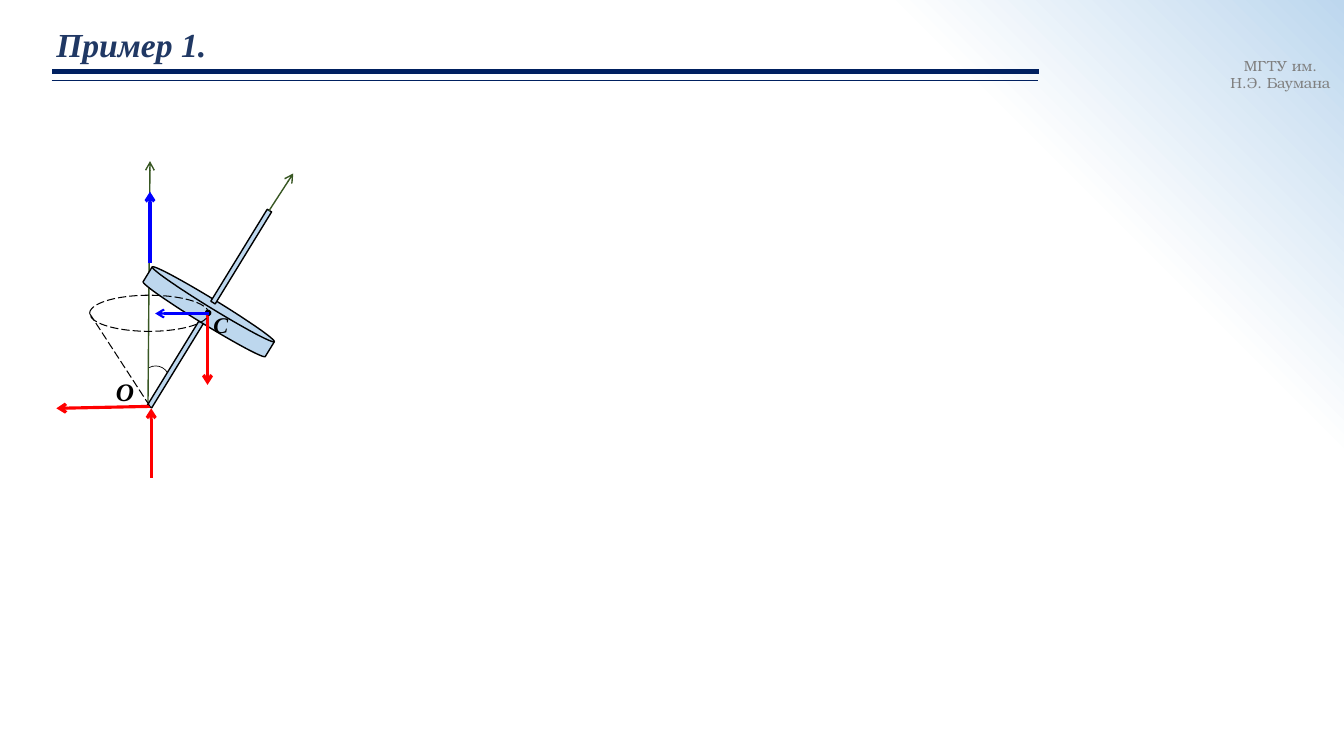
"""Build the slide with the precessing gyroscope example."""
from lxml import etree
from pptx import Presentation, util as u
from pptx.dml.color import RGBColor
from pptx.enum import dml, shapes, text
from pptx.oxml.ns import qn

COLORS = {
    "white": "FFFFFF", "pale": "BDD7EE", "black": "000000", "gray": "808080",
    "title": "203864", "rule": "002060", "axis": "385723",
    "force": "FF0000", "vector": "0000FF",
}
SHAPE = shapes.MSO_SHAPE


class Sketch:
    def __init__(self, s, font):
        self.s = s
        self.font = font

    def color(self, name):
        return RGBColor.from_string(COLORS[name])

    def background(self):
        fill = self.s.background.fill
        fill.gradient()
        for stop, position, name in zip(fill.gradient_stops, (0.78, 1), ("white", "pale")):
            stop.position = position
            stop.color.rgb = self.color(name)
        lin = next(self.s.element.iter(qn("a:lin")))
        path = etree.Element(qn("a:path"), path="circle")
        etree.SubElement(path, qn("a:fillToRect"), t="100000", r="100000")
        lin.getparent().replace(lin, path)

    def stroke(self, line, color, width, dashed=False):
        line.color.rgb = self.color(color)
        line.width = u.Pt(width)
        if dashed:
            line.dash_style = dml.MSO_LINE.LONG_DASH

    def line(self, start, end, color, width, arrow=False, dashed=False):
        ends = [u.Cm(v) for v in (*start, *end)]
        cn = self.s.shapes.add_connector(shapes.MSO_CONNECTOR.STRAIGHT, *ends)
        self.stroke(cn.line, color, width, dashed)
        pr = cn.element.spPr
        if arrow:
            etree.SubElement(pr.find(qn("a:ln")), qn("a:tailEnd"), type="arrow")
        etree.SubElement(pr, qn("a:effectLst"))

    def shape(self, kind, box, fill=None, width=1, rotation=0, dashed=False):
        sp = self.s.shapes.add_shape(kind, *[u.Cm(v) for v in box])
        sp.shadow.inherit = False
        sp.rotation = rotation
        if fill:
            sp.fill.solid()
            sp.fill.fore_color.rgb = self.color(fill)
        else:
            sp.fill.background()
        self.stroke(sp.line, "black", width, dashed)

    def label(self, words, box, size, color="black", font=None, strong=True, align=None):
        sp = self.s.shapes.add_textbox(*[u.Cm(v) for v in box])
        tf = sp.text_frame
        tf.word_wrap = True
        tf.auto_size = text.MSO_AUTO_SIZE.SHAPE_TO_FIT_TEXT
        p = tf.paragraphs[0]
        p.text = words
        p.alignment = align
        p.font.name = font or self.font
        p.font.size = u.Pt(size)
        p.font.bold = p.font.italic = strong
        p.font.color.rgb = self.color(color)


def main():
    prs = Presentation()
    prs.slide_width, prs.slide_height = u.Cm(33.87), u.Cm(19.05)
    sk = Sketch(prs.slides.add_slide(prs.slide_layouts[6]), "Times New Roman")
    sk.background()

    tilt = 301.5
    sk.line((3.73, 10.13), (3.78, 4.06), "axis", 1, arrow=True)
    sk.shape(SHAPE.RECTANGLE, (3.12, 9.02, 2.72, 0.13), "pale", rotation=tilt)
    sk.shape(SHAPE.FLOWCHART_DIRECT_ACCESS_STORAGE, (4.93, 6.05, 0.66, 3.61), "pale", rotation=tilt)
    sk.shape(SHAPE.RECTANGLE, (4.72, 6.4, 2.72, 0.13), "pale", rotation=tilt)

    sk.label("МГТУ им. Н.Э. Баумана", (30.68, 1.3, 3.18, 1.14), 10.5, "gray",
             "TeX Gyre Bonum", False, text.PP_ALIGN.CENTER)
    sk.label("Пример 1.", (1.17, 0.48, 24.66, 1.27), 24, "title")
    sk.line((1.32, 1.8), (26.19, 1.8), "rule", 3.5)
    sk.line((1.3, 2.03), (26.16, 2.03), "rule", 0.75)

    sk.label("O", (2.67, 9.37, 0.74, 1.02), 18)
    sk.shape(SHAPE.OVAL, (5.18, 7.82, 0.13, 0.13), "black")
    sk.label("С", (5.13, 7.72, 0.74, 0.94), 16)
    sk.line((6.78, 5.31), (7.39, 4.37), "axis", 1, arrow=True)
    sk.shape(SHAPE.ARC, (3.58, 9.22, 0.69, 0.69), width=0.5, rotation=331.2)
    sk.line((5.23, 7.92), (5.23, 9.7), "force", 2.25, arrow=True)
    sk.line((3.78, 6.63), (3.78, 4.83), "vector", 2.25, arrow=True)
    sk.shape(SHAPE.OVAL, (2.26, 7.44, 3, 0.91), width=0.75, dashed=True)
    sk.line((5.26, 7.9), (3.91, 7.9), "vector", 1.5, arrow=True)
    sk.line((3.78, 10.24), (1.42, 10.29), "force", 2.25, arrow=True)
    sk.line((3.81, 12.04), (3.81, 10.29), "force", 2.25, arrow=True)
    sk.line((2.26, 7.9), (3.78, 10.24), "black", 0.75, dashed=True)

    prs.save("out.pptx")


if __name__ == "__main__":
    main()
